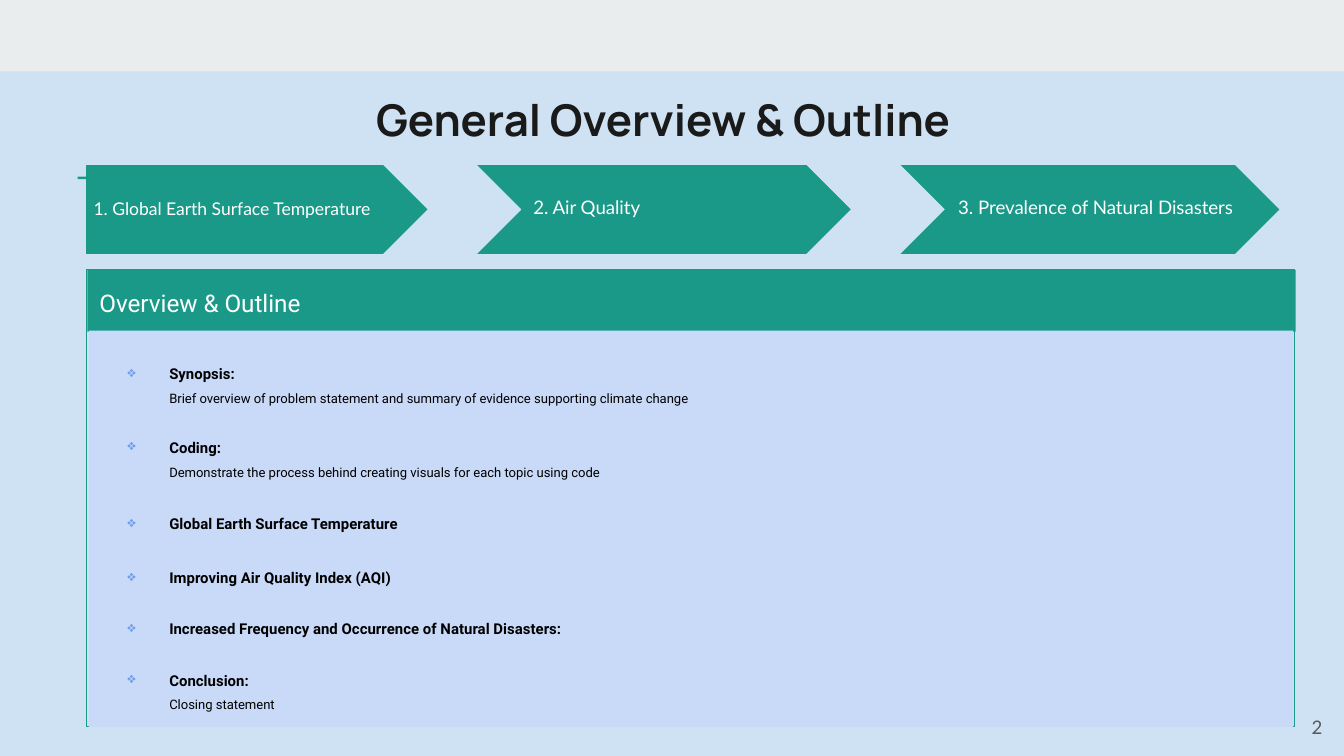
from typing import NamedTuple

from lxml import etree
from pptx import Presentation
from pptx.dml.color import RGBColor
from pptx.enum.shapes import MSO_SHAPE
from pptx.enum.text import MSO_ANCHOR, PP_ALIGN
from pptx.oxml.ns import qn
from pptx.util import Cm, Pt

RECTANGLE = MSO_SHAPE.RECTANGLE
PENTAGON = MSO_SHAPE.PENTAGON
CHEVRON = MSO_SHAPE.CHEVRON
TOP, MIDDLE = MSO_ANCHOR.TOP, MSO_ANCHOR.MIDDLE
LEFT, CENTER, RIGHT = PP_ALIGN.LEFT, PP_ALIGN.CENTER, PP_ALIGN.RIGHT

SKY = RGBColor(0xCF, 0xE2, 0xF3)
BAND_GREY = RGBColor(0xE9, 0xED, 0xEE)
TEAL = RGBColor(0x1A, 0x99, 0x88)
PANEL_BLUE = RGBColor(0xC9, 0xDA, 0xF8)
INK = RGBColor(0x1A, 0x1A, 0x1A)
BLACK = RGBColor(0, 0, 0)
WHITE = RGBColor(0xFF, 0xFF, 0xFF)
NUMBER_GREY = RGBColor(0x59, 0x59, 0x59)
BULLET_BLUE = "6D9EEB"

INSET = 0.25
ARROW_TOP, ARROW_HEIGHT = 3.12, 1.68
LABEL_TOP, LABEL_WIDTH, LABEL_HEIGHT = 3.53, 6.27, 0.86


class Box(NamedTuple):
    """Left, top, width and height in centimetres."""
    left: float
    top: float
    width: float
    height: float

    def lengths(self):
        return [Cm(value) for value in self]


class Style(NamedTuple):
    font: str
    size: float
    color: RGBColor
    bold: bool = False


class Step(NamedTuple):
    label: str
    kind: int
    left: float
    width: float
    label_left: float
    size: float
    line_spacing: float


class Topic(NamedTuple):
    heading: str
    detail: str = ""
    space_before: float = 0


HEADING = Style("Roboto", 8, BLACK, True)
DETAIL = Style("Roboto", 7, BLACK)

STEPS = [
    Step("1. Global Earth Surface Temperature", PENTAGON, 1.63, 6.45, 1.52, 9.4, 0.9),
    Step("2. Air Quality", CHEVRON, 9.02, 7.06, 9.83, 10, 0.8),
    Step("3. Prevalence of Natural Disasters", CHEVRON, 17.02, 7.16, 17.86, 10, 0.8),
]

TOPICS = [
    Topic("Synopsis:", "Brief overview of problem statement and summary "
          "of evidence supporting climate change"),
    Topic("Coding:", "Demonstrate the process behind creating visuals "
          "for each topic using code", 12.5),
    Topic("Global Earth Surface Temperature", space_before=14),
    Topic("Improving Air Quality Index (AQI)", space_before=14.5),
    Topic("Increased Frequency and Occurrence of Natural Disasters:", space_before=13),
    Topic("Conclusion:", "Closing statement", 13),
]


def add_block(slide, kind: int, box: Box, fill: RGBColor | None, line: RGBColor | None = None):
    shape = slide.shapes.add_shape(kind, *box.lengths())
    shape.shadow.inherit = False
    if fill is None:
        shape.fill.background()
    else:
        shape.fill.solid()
        shape.fill.fore_color.rgb = fill
    if line is None:
        shape.line.fill.background()
    else:
        shape.line.color.rgb = line
        shape.line.width = Pt(0.75)
    return shape


def prepare_frame(shape, anchor: int, top_inset: float = INSET):
    frame = shape.text_frame
    frame.word_wrap = True
    frame.vertical_anchor = anchor
    frame.margin_left = frame.margin_right = frame.margin_bottom = Cm(INSET)
    frame.margin_top = Cm(top_inset)
    return frame


def add_run(paragraph, text: str, style: Style) -> None:
    run = paragraph.add_run()
    run.text = text
    run.font.name = style.font
    run.font.size = Pt(style.size)
    run.font.color.rgb = style.color
    run.font.bold = style.bold


def add_label(slide, box: Box, text: str, style: Style, align: int = LEFT,
              anchor: int = TOP, line_spacing: float = 1.0) -> None:
    frame = prepare_frame(slide.shapes.add_textbox(*box.lengths()), anchor)
    paragraph = frame.paragraphs[0]
    paragraph.alignment = align
    paragraph.line_spacing = line_spacing
    add_run(paragraph, text, style)


def indent(paragraph, bullet: str = "") -> None:
    """Indent a paragraph, hanging the bullet if there is one."""
    properties = paragraph._p.get_or_add_pPr()
    properties.set("marL", str(Cm(1.27)))
    properties.set("indent", str(Cm(-0.79) if bullet else 0))
    if bullet:
        color = etree.SubElement(properties, qn("a:buClr"))
        etree.SubElement(color, qn("a:srgbClr"), val=BULLET_BLUE)
        etree.SubElement(properties, qn("a:buChar"), char=bullet)


def add_topics(shape, topics: list[Topic]) -> None:
    frame = prepare_frame(shape, TOP, 0.48)
    for index, topic in enumerate(topics):
        paragraph = frame.add_paragraph() if index else frame.paragraphs[0]
        lines = [(paragraph, topic.heading, HEADING, "❖")]
        if topic.detail:
            lines.append((frame.add_paragraph(), topic.detail, DETAIL, ""))
        for paragraph, text, style, bullet in lines:
            indent(paragraph, bullet)
            paragraph.alignment = LEFT
            paragraph.line_spacing = 1.5
            if bullet and index:
                paragraph.space_before = Pt(topic.space_before)
            add_run(paragraph, text, style)


def add_step(slide, step: Step) -> None:
    arrow = Box(step.left, ARROW_TOP, step.width, ARROW_HEIGHT)
    add_block(slide, step.kind, arrow, TEAL)
    label = Box(step.label_left, LABEL_TOP, LABEL_WIDTH, LABEL_HEIGHT)
    add_label(slide, label, step.label, Style("Lato", step.size, WHITE),
              anchor=MIDDLE, line_spacing=step.line_spacing)


def main() -> None:
    presentation = Presentation()
    presentation.slide_width, presentation.slide_height = Cm(25.4), Cm(14.29)
    slide = presentation.slides.add_slide(presentation.slide_layouts[6])
    slide.background.fill.solid()
    slide.background.fill.fore_color.rgb = SKY

    add_block(slide, RECTANGLE, Box(0, 0, 25.4, 1.35), BAND_GREY)
    add_block(slide, RECTANGLE, Box(1.47, 3.34, 1.04, 0.05), TEAL)
    add_label(slide, Box(1.85, 1.5, 21.36, 1.5), "General Overview & Outline",
              Style("Manrope", 23.4, INK, True), CENTER)

    for step in STEPS:
        add_step(slide, step)

    add_block(slide, RECTANGLE, Box(1.65, 5.1, 22.84, 1.17), TEAL)
    add_block(slide, RECTANGLE, Box(1.63, 5.1, 22.84, 8.64), None, TEAL)
    add_label(slide, Box(1.63, 5.2, 22.68, 0.76), "Overview & Outline",
              Style("Roboto", 13, WHITE))
    panel = add_block(slide, RECTANGLE, Box(1.68, 6.25, 22.76, 7.49), PANEL_BLUE)
    add_topics(panel, TOPICS)

    add_label(slide, Box(23.72, 13.19, 1.52, 1.09), "2",
              Style("Lato", 10, NUMBER_GREY), RIGHT, MIDDLE)
    presentation.save("out.pptx")


if __name__ == "__main__":
    main()
